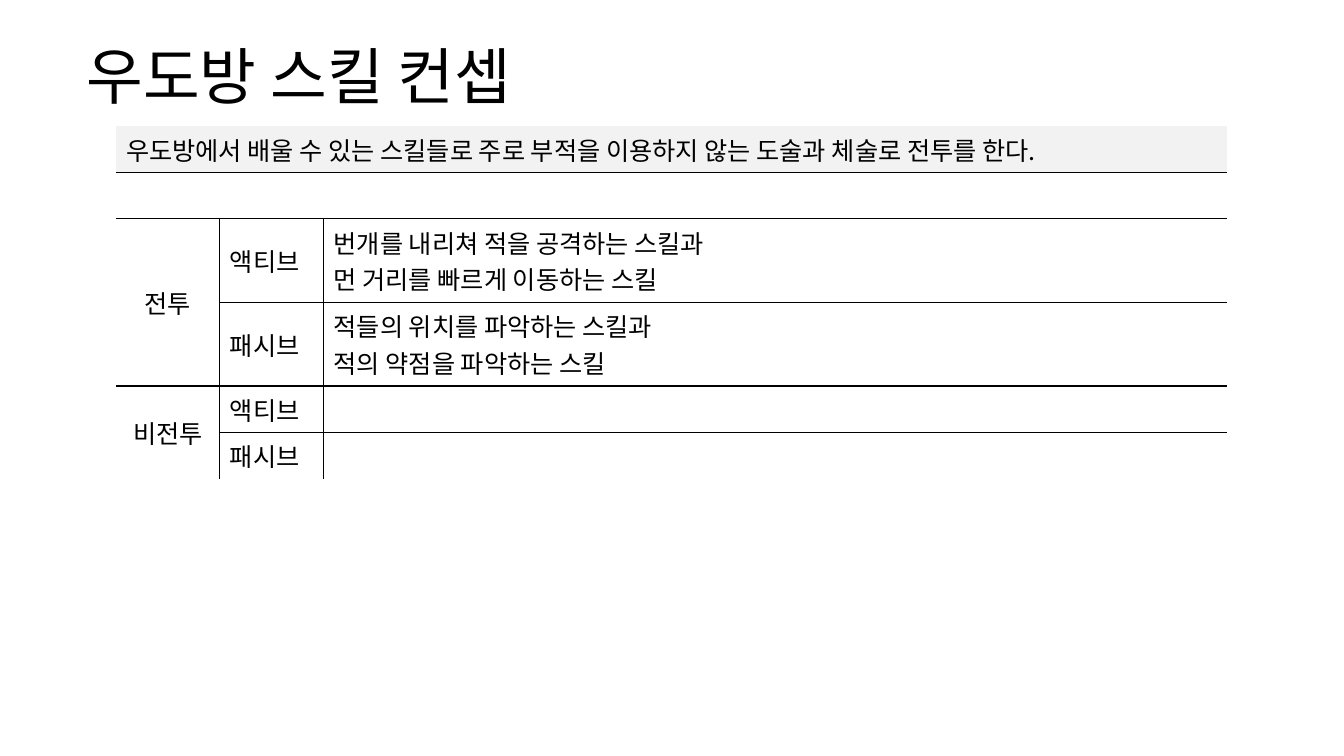
from lxml.etree import SubElement
from pptx import Presentation
from pptx.dml.color import RGBColor
from pptx.enum.text import MSO_ANCHOR, PP_ALIGN
from pptx.oxml.ns import qn
from pptx.util import Inches, Pt

FONT = "Noto Sans CJK KR"
BLACK = RGBColor(0x00, 0x00, 0x00)
GREY = RGBColor(0xF2, 0xF2, 0xF2)
NO_STYLE = "{2D5ABB26-0587-4C30-8999-92F81FD0307C}"

TITLE = "우도방 스킬 컨셉"
INTRO = "우도방에서 배울 수 있는 스킬들로 주로 부적을 이용하지 않는 도술과 체술로 전투를 한다."
ACTIVE, PASSIVE = "액티브", "패시브"
ROWS = [
    [INTRO, "", ""],
    ["", "", ""],
    ["전투", ACTIVE, "번개를 내리쳐 적을 공격하는 스킬과\n먼 거리를 빠르게 이동하는 스킬"],
    ["", PASSIVE, "적들의 위치를 파악하는 스킬과\n적의 약점을 파악하는 스킬"],
    ["비전투", ACTIVE, ""],
    ["", PASSIVE, ""],
]
MERGES = [((0, 0), (0, 2)), ((1, 0), (1, 2)), ((2, 0), (3, 0)), ((4, 0), (5, 0))]
WIDTHS = [1.03, 1.03, 8.96]
LOW, HIGH = 0.46, 0.83
HEIGHTS = [LOW, LOW, HIGH, HIGH, LOW, LOW]
# Columns that are ruled off below each row
RULES = {0: (0, 1, 2), 2: (1, 2), 3: (0, 1, 2), 4: (1, 2)}


def write(frame, text, size=18, align=PP_ALIGN.LEFT, space=1.0):
    for i, line in enumerate(text.split("\n")):
        para = frame.paragraphs[0] if i == 0 else frame.add_paragraph()
        para.alignment = align
        para.line_spacing = space
        run = para.add_run()
        run.text = line
        font = run.font
        font.size, font.name = Pt(size), FONT
        font.color.rgb = BLACK
        SubElement(font._element, qn("a:ea"), typeface=FONT)


def add_title(slide, left, top, width, height):
    frame = slide.shapes.add_textbox(
        Inches(left), Inches(top), Inches(width), Inches(height)).text_frame
    frame.word_wrap = True
    frame.vertical_anchor = MSO_ANCHOR.MIDDLE
    write(frame, TITLE, size=44, space=0.9)


def edges(row, col):
    """Return the ruled sides of a cell, in schema order."""
    body = row >= 2
    tests = {
        "L": body and col > 0,
        "R": body and col < 2,
        "T": col in RULES.get(row - 1, ()),
        "B": col in RULES.get(row, ()),
    }
    return [side for side, ruled in tests.items() if ruled]


def rule(cell, sides):
    props = cell._tc.get_or_add_tcPr()
    for side in sides:
        line = SubElement(props, qn("a:ln" + side), w=str(Pt(1)))
        fill = SubElement(line, qn("a:solidFill"))
        SubElement(fill, qn("a:srgbClr"), val=str(BLACK))


def add_skills(slide, left, top):
    table = slide.shapes.add_table(
        len(ROWS), len(WIDTHS), Inches(left), Inches(top),
        Inches(sum(WIDTHS)), Inches(sum(HEIGHTS))).table
    table.first_row = table.horz_banding = False
    table._tbl.tblPr.find(qn("a:tableStyleId")).text = NO_STYLE
    for col, width in zip(table.columns, WIDTHS):
        col.width = Inches(width)
    for row, height in zip(table.rows, HEIGHTS):
        row.height = Inches(height)

    # Borders come before the fill in each cell
    for r, texts in enumerate(ROWS):
        for c, text in enumerate(texts):
            cell = table.cell(r, c)
            rule(cell, edges(r, c))
            if r == 0:
                cell.fill.solid()
                cell.fill.fore_color.rgb = GREY
            else:
                cell.fill.background()
            cell.vertical_anchor = MSO_ANCHOR.MIDDLE
            if text:
                group = c == 0 and r > 1
                write(cell.text_frame, text,
                      align=PP_ALIGN.CENTER if group else PP_ALIGN.LEFT)
    for first, last in MERGES:
        table.cell(*first).merge(table.cell(*last))


def main():
    deck = Presentation()
    deck.slide_width, deck.slide_height = Inches(13.33), Inches(7.5)
    slide = deck.slides.add_slide(deck.slide_layouts[6])
    add_title(slide, 0.76, 0.32, 11.81, 0.94)
    add_skills(slide, 1.15, 1.25)
    deck.save("out.pptx")


if __name__ == "__main__":
    main()
